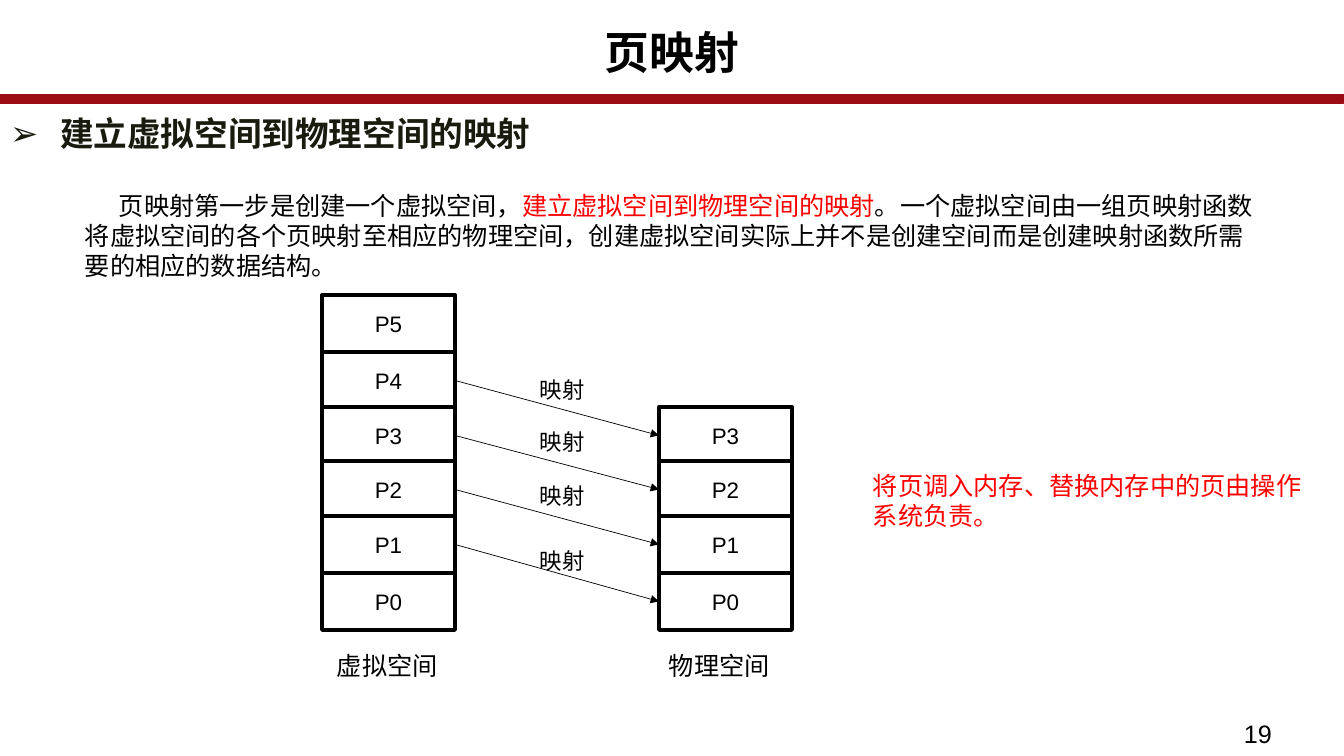
import pptx
import pptx.dml.color
import pptx.enum.shapes
import pptx.enum.text
import pptx.oxml.ns
import pptx.util
from lxml import etree

EMU_PER_PX = 914400 / 100.8
COLOURS = {"black": "000000", "white": "FFFFFF", "bar": "9C0C15",
           "heading": "191B0E", "accent": "FF0000"}
ALIGN = pptx.enum.text.PP_ALIGN
ANCHOR = pptx.enum.text.MSO_ANCHOR
SHAPE = pptx.enum.shapes.MSO_SHAPE


def px(length):
    return pptx.util.Emu(round(length * EMU_PER_PX))


def colour(name):
    return pptx.dml.color.RGBColor.from_string(COLOURS[name])


def add_xml(parent, tag, **attributes):
    return etree.SubElement(parent, pptx.oxml.ns.qn(tag), attributes)


def apply_format(target, **values):
    for name, value in values.items():
        setattr(target, name, value)


class SlideBuilder:
    font_name = "Arial"

    def __init__(self, presentation):
        self.slide = presentation.slides.add_slide(presentation.slide_layouts[1])

    def fill_text(self, shape, runs, size, bold=False, anchor=ANCHOR.TOP, **paragraph_format):
        """Fill a shape with one paragraph of (text, colour name) runs."""
        frame = shape.text_frame
        apply_format(frame, word_wrap=True, vertical_anchor=anchor,
                     auto_size=pptx.enum.text.MSO_AUTO_SIZE.NONE)
        paragraph = frame.paragraphs[0]
        apply_format(paragraph, **paragraph_format)
        for text, colour_name in runs:
            run = paragraph.add_run()
            run.text = text
            apply_format(run.font, name=self.font_name, size=pptx.util.Pt(size), bold=bold)
            run.font.color.rgb = colour(colour_name)
            add_xml(run._r.get_or_add_rPr(), "a:ea", typeface=self.font_name)
        return paragraph

    def indent(self, paragraph, margin, first_line):
        properties = paragraph._p.get_or_add_pPr()
        properties.set("marL", str(px(margin)))
        properties.set("indent", str(px(first_line)))
        return properties

    def placeholder(self, index, left, top, width, height, runs, size, **text_format):
        shape = self.slide.placeholders[index]
        apply_format(shape, left=px(left), top=px(top), width=px(width), height=px(height))
        return self.fill_text(shape, runs, size, **text_format)

    def text(self, left, top, width, height, runs, size=18):
        shape = self.slide.shapes.add_textbox(px(left), px(top), px(width), px(height))
        return self.fill_text(shape, runs, size)

    def box(self, kind, left, top, width, height, fill, line):
        shape = self.slide.shapes.add_shape(kind, px(left), px(top), px(width), px(height))
        shape.shadow.inherit = False
        shape.fill.solid()
        shape.fill.fore_color.rgb = colour(fill)
        shape.line.color.rgb = colour(line)
        shape.line.width = pptx.util.Pt(2.75)
        return shape

    def page(self, name, left, top):
        shape = self.box(SHAPE.RECTANGLE, left, top, 133, 57, "white", "black")
        self.fill_text(shape, [(name, "black")], 16, anchor=ANCHOR.MIDDLE,
                       alignment=ALIGN.CENTER)
        return shape

    def arrow(self, source, target):
        connector = self.slide.shapes.add_connector(
            pptx.enum.shapes.MSO_CONNECTOR.STRAIGHT, 0, 0, 0, 0)
        connector.begin_connect(source, 3)
        connector.end_connect(target, 1)
        connector.line.color.rgb = colour("black")
        connector.line.width = pptx.util.Pt(0.5)
        properties = connector._element.spPr
        add_xml(properties.find(pptx.oxml.ns.qn("a:ln")), "a:tailEnd", type="triangle")
        add_xml(properties, "a:effectLst")


def main():
    presentation = pptx.Presentation()
    apply_format(presentation, slide_width=px(1344), slide_height=px(756))
    builder = SlideBuilder(presentation)

    # Title, red bar and heading
    builder.placeholder(0, 0, 26, 1344, 75, [("页映射", "black")], 32, bold=True,
                        alignment=ALIGN.CENTER, line_spacing=0.89)
    builder.box(SHAPE.ROUNDED_RECTANGLE, -1, 96, 1345, 6, "bar", "bar")
    heading = builder.placeholder(
        1, 0, 111, 643, 593, [("建立虚拟空间到物理空间的映射", "heading")], 24, bold=True,
        line_spacing=0.94, space_before=pptx.util.Pt(0), space_after=pptx.util.Pt(2))
    properties = builder.indent(heading, 50, -50)
    add_xml(properties, "a:buFont", typeface=builder.font_name)
    add_xml(properties, "a:buChar", char="➢")

    # Explanation and page number
    explanation = builder.text(75, 185, 1195, 102, [
        ("页映射第一步是创建一个虚拟空间，", "black"),
        ("建立虚拟空间到物理空间的映射", "accent"),
        ("。一个虚拟空间由一组页映射函数将虚拟空间的各个页映射至相应的物理空间，"
         "创建虚拟空间实际上并不是创建空间而是创建映射函数所需要的相应的数据结构。", "black")])
    builder.indent(explanation, 0, 34)
    builder.text(1234, 713, 110, 44, [("19", "black")])

    # Page columns: page number -> top edge
    page_tops = {5: 295, 4: 352, 3: 407, 2: 461, 1: 516, 0: 573}
    virtual_pages = {number: builder.page(f"P{number}", 322, top)
                     for number, top in page_tops.items()}
    physical_pages = {number: builder.page(f"P{number}", 659, top)
                      for number, top in page_tops.items() if number <= 3}

    # Each virtual page maps to the physical page numbered one lower
    for number, page in physical_pages.items():
        builder.arrow(virtual_pages[number + 1], page)

    # Captions and labels
    for left, caption in ((327, "虚拟空间"), (659, "物理空间")):
        builder.text(left, 645, 133, 40, [(caption, "black")])
    builder.text(863, 465, 457, 72,
                 [("将页调入内存、替换内存中的页由操作系统负责。", "accent")])
    for top in (371, 423, 477, 542):
        builder.text(530, top, 92, 37, [("映射", "black")], 16)

    presentation.save("out.pptx")


if __name__ == "__main__":
    main()
